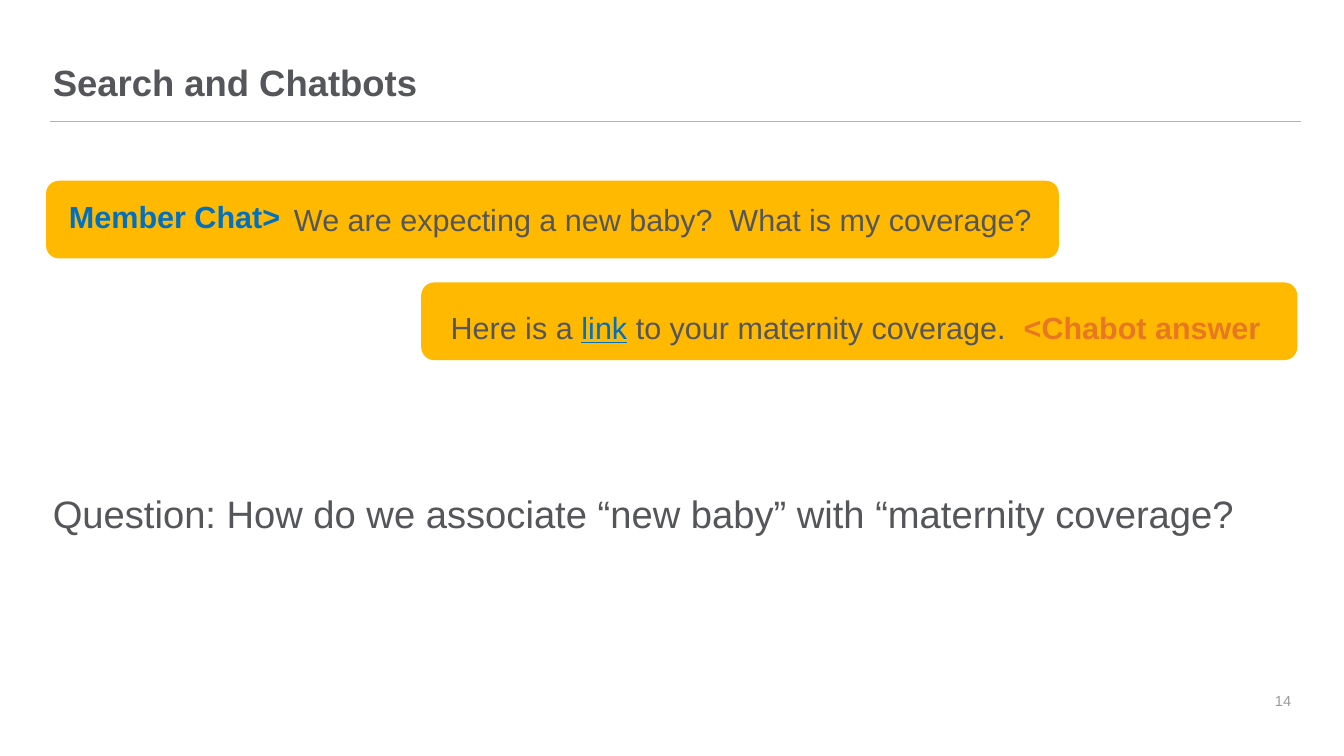
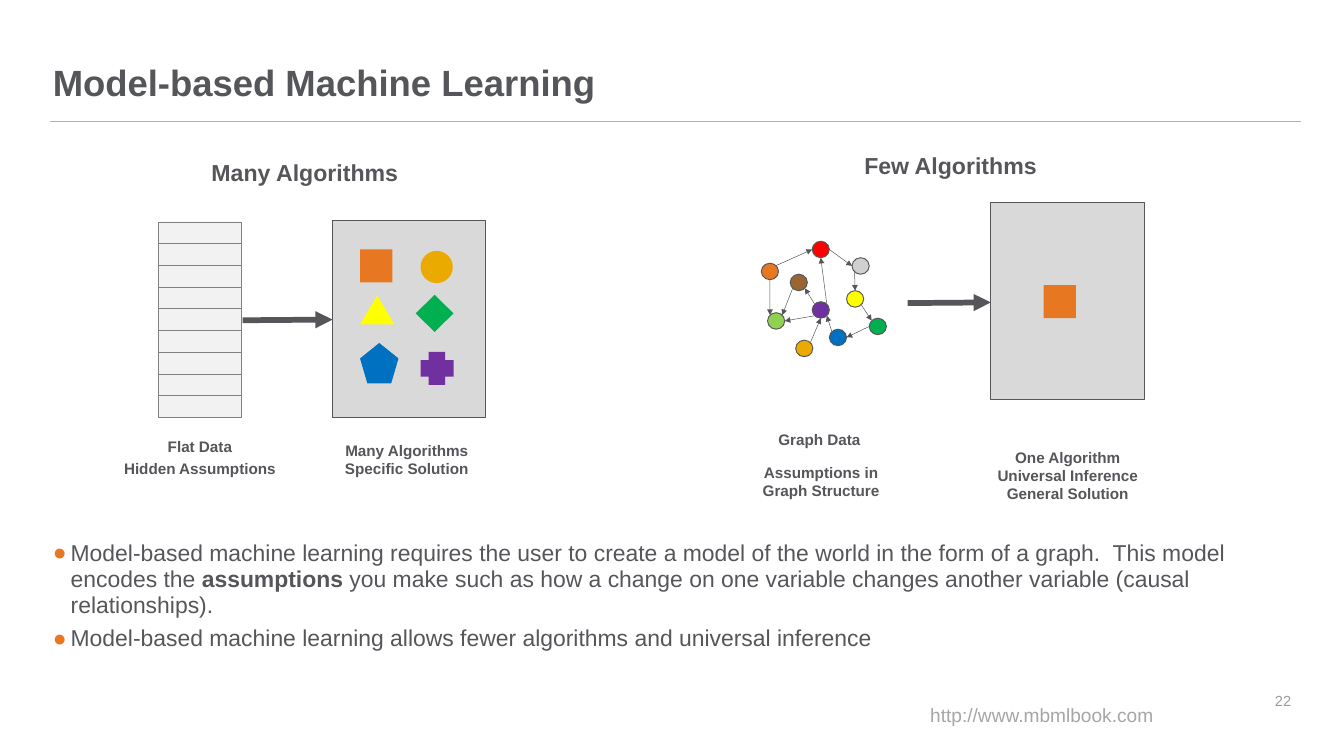
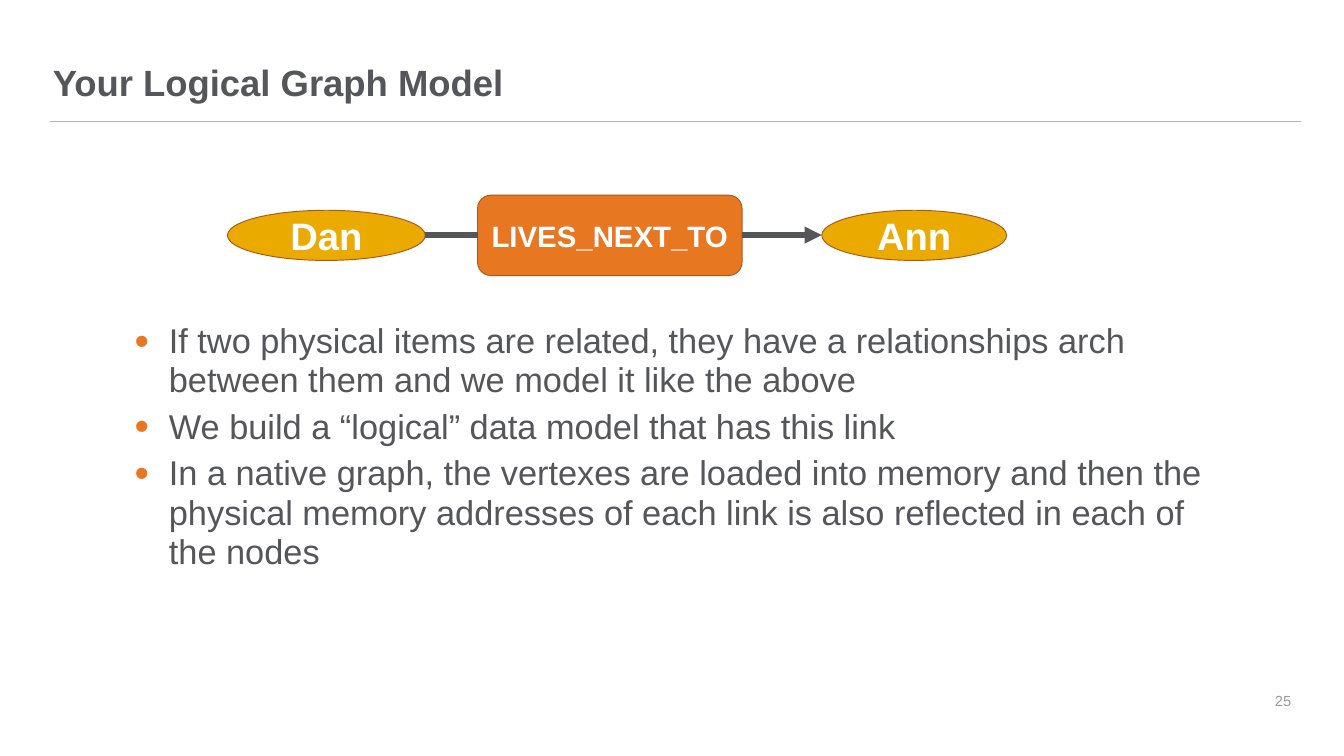
from math import cos, radians, sin

from lxml.etree import SubElement
from pptx import Presentation
from pptx.dml.color import RGBColor
from pptx.enum.shapes import MSO_CONNECTOR, MSO_SHAPE
from pptx.enum.text import MSO_ANCHOR, PP_ALIGN
from pptx.oxml.ns import qn
from pptx.util import Inches, Pt

COLUMNS, ROWS = 19.56, 11
CELL = Inches(1)
MARGIN, CONTENT_WIDTH = 0.67, 18.22
FONT = "Arial"
INK, RULE, NUMBER, PALE_TEXT = "55565A", "B1B3B3", "999A9B", "A6A6A6"
ORANGE, GOLD, AMBER, BLUE, RUST = "E87722", "EAAA00", "FFB900", "0070C0", "AC5819"
YELLOW, GREEN, PURPLE, PANEL = "FFFF00", "00B050", "7030A0", "D9D9D9"
LEFT, CENTER, RIGHT = PP_ALIGN.LEFT, PP_ALIGN.CENTER, PP_ALIGN.RIGHT
COMPASS = {"E": 0, "NE": 45, "N": 90, "NW": 135, "W": 180, "SW": 225, "S": 270, "SE": 315}


def cells(*counts):
    """Convert counts of grid cells to lengths."""
    return [int(count * CELL) for count in counts]


def color(code):
    """Turn a hex string into a colour."""
    return RGBColor.from_string(code)


def add_bullet(paragraph, symbol, indent, percent):
    """Give a paragraph an orange bullet and a hanging indent."""
    properties = paragraph._p.get_or_add_pPr()
    length = cells(indent)[0]
    properties.set("marL", str(length))
    properties.set("indent", str(-length))
    bullet_color = SubElement(properties, qn("a:buClr"))
    SubElement(bullet_color, qn("a:srgbClr"), val=ORANGE)
    SubElement(properties, qn("a:buSzPct"), val=str(percent * 1000))
    SubElement(properties, qn("a:buFont"), typeface=FONT)
    SubElement(properties, qn("a:buChar"), char=symbol)


def write(paragraph, runs, size, ink=INK, bold=False):
    """Add runs, each a string or a tuple of text and font changes."""
    for item in [runs] if isinstance(runs, str) else runs:
        text, changes = (item, {}) if isinstance(item, str) else item
        run = paragraph.add_run()
        run.text = text
        font = run.font
        font.name, font.size = FONT, Pt(size)
        font.bold = changes.get("bold", bold)
        font.underline = changes.get("underline", False)
        font.color.rgb = color(changes.get("ink", ink))


def add_text(slide, at, paragraphs, size, ink=INK, bold=False, align=LEFT, wrap=True,
             inset=0.05, anchor=MSO_ANCHOR.TOP, spacing=None, after=0, bullet=None):
    """Add a text box with one entry per paragraph."""
    frame = slide.shapes.add_textbox(*cells(*at)).text_frame
    frame.word_wrap, frame.vertical_anchor = wrap, anchor
    frame.margin_left, frame.margin_right = cells(0.1, 0.1)
    frame.margin_top, frame.margin_bottom = cells(inset, inset)
    for index, runs in enumerate(paragraphs):
        paragraph = frame.add_paragraph() if index else frame.paragraphs[0]
        paragraph.alignment = align
        if spacing:
            paragraph.line_spacing, paragraph.space_after = spacing, Pt(after)
        if bullet:
            add_bullet(paragraph, *bullet)
        write(paragraph, runs, size, ink, bold)


def add_body(slide, at, paragraphs, size, bullet=None):
    """Add body text in the shared paragraph style."""
    add_text(slide, at, paragraphs, size, inset=0.1, spacing=0.95, after=7.7, bullet=bullet)


def add_caption(slide, left, top, width, *lines):
    """Add a small bold centred caption."""
    add_text(slide, (left, top, width, 0.1 + 0.27 * len(lines)), lines, 16,
             bold=True, align=CENTER)


def add_shape(shapes, kind, at, fill, outline=None, label="", size=40):
    """Add a filled preset shape with an optional white label."""
    shape = shapes.add_shape(kind, *cells(*at))
    shape.shadow.inherit = False
    shape.fill.solid()
    shape.fill.fore_color.rgb = color(fill)
    if outline:
        shape.line.color.rgb, shape.line.width = color(outline), Pt(1)
    else:
        shape.line.fill.background()
    if label:
        frame = shape.text_frame
        frame.word_wrap, frame.vertical_anchor = False, MSO_ANCHOR.MIDDLE
        frame.paragraphs[0].alignment = CENTER
        write(frame.paragraphs[0], label, size, "FFFFFF", True)


def add_line(shapes, start, end, ink=INK, width=6, arrow=True):
    """Add a straight line, with an arrowhead at its end if asked."""
    line = shapes.add_connector(MSO_CONNECTOR.STRAIGHT, *cells(*start, *end))
    line.line.color.rgb, line.line.width = color(ink), Pt(width)
    if arrow:
        SubElement(line.line._get_or_add_ln(), qn("a:tailEnd"), type="triangle")
    SubElement(line._element.spPr, qn("a:effectLst"))


def add_slide(presentation, title, number):
    """Add a slide with the shared title, rule and slide number."""
    slide = presentation.slides.add_slide(presentation.slide_layouts[6])
    add_line(slide.shapes, (0.73, 1.77), (18.94, 1.77), RULE, 1, False)
    add_text(slide, (MARGIN, 0.84, CONTENT_WIDTH, 0.89), [title], 38.2, bold=True,
             inset=0.1, spacing=0.9)
    add_text(slide, (17.72, 9.77, 1.17, 0.84), [str(number)], 15.3, NUMBER, align=RIGHT,
             inset=0.1, anchor=MSO_ANCHOR.MIDDLE)
    return slide


def add_graph(slide):
    """Draw the grouped graph of coloured nodes and directed edges."""
    width, height = 0.25, 0.24
    nodes = {
        "red": (11.82, 3.51, "FF0000"), "brown": (11.5, 3.99, "996633"),
        "purple": (11.82, 4.39, PURPLE), "gray": (12.4, 3.75, "D0D0CE"),
        "yellow": (12.32, 4.23, YELLOW), "lime": (11.17, 4.55, "92D050"),
        "blue": (12.07, 4.79, BLUE), "orange": (11.08, 3.83, ORANGE),
        "green": (12.65, 4.63, GREEN), "gold": (11.58, 4.95, GOLD),
    }
    edges = [
        "orange NE red W", "red E gray W", "gray SW yellow N", "yellow SE green NW",
        "green W blue E", "blue NW purple SE", "purple NW brown SE", "brown SW lime NE",
        "orange S lime NW", "purple NE red S", "purple SW lime E", "gold NE purple S",
    ]

    def site(name, direction):
        """Find the point of a node's rim in a compass direction."""
        left, top, _ = nodes[name]
        angle = radians(COMPASS[direction])
        return left + width / 2 * (1 + cos(angle)), top + height / 2 * (1 - sin(angle))

    shapes = slide.shapes.add_group_shape().shapes
    for left, top, fill in nodes.values():
        add_shape(shapes, MSO_SHAPE.OVAL, (left, top, width, height), fill, INK)
    for edge in edges:
        source, leaving, target, entering = edge.split()
        add_line(shapes, site(source, leaving), site(target, entering), width=0.5)


def add_chatbot_slide(presentation):
    """Build the slide on search and chatbots."""
    slide = add_slide(presentation, "Search and Chatbots", 14)
    for bubble in [(6.13, 4.11, 12.75, 1.13), (MARGIN, 2.63, 14.74, 1.13)]:
        add_shape(slide.shapes, MSO_SHAPE.ROUNDED_RECTANGLE, bubble, AMBER)
    add_body(slide, (MARGIN, 7.08, CONTENT_WIDTH, 1.79),
             ["Question: How do we associate “new baby” with “maternity coverage?"], 40)
    add_text(slide, (4.18, 2.87, 11.03, 0.64),
             ["We are expecting a new baby?  What is my coverage?"], 32, wrap=False)
    answer = ["Here is a ", ("link", {"ink": BLUE, "underline": True}),
              " to your maternity coverage."]
    add_text(slide, (6.46, 4.44, 8.34, 0.64), [answer], 32, wrap=False)
    add_text(slide, (14.8, 4.44, 3.9, 0.64), ["<Chabot answer"], 32, ORANGE, True)
    add_text(slide, (MARGIN, 2.83, 3.51, 0.64), ["Member Chat>"], 32, BLUE, True, RIGHT)


def add_learning_slide(presentation):
    """Build the slide comparing many algorithms with few."""
    slide = add_slide(presentation, "Model-based Machine Learning", 22)
    shapes = slide.shapes
    add_line(shapes, (3.53, 4.66), (4.84, 4.65))
    add_line(shapes, (13.21, 4.41), (14.42, 4.4))
    for row in range(9):
        add_shape(shapes, MSO_SHAPE.RECTANGLE, (2.31, 3.23 + row * 0.316, 1.21, 0.32),
                  "F2F2F2", "808080")
    for left, top in [(4.84, 3.21), (14.42, 2.95)]:
        add_shape(shapes, MSO_SHAPE.RECTANGLE, (left, top, 2.23, 2.87), PANEL, INK)
    algorithms = [
        (MSO_SHAPE.RECTANGLE, (5.24, 3.63, 0.47, 0.48), ORANGE),
        (MSO_SHAPE.OVAL, (6.12, 3.65, 0.47, 0.47), GOLD),
        (MSO_SHAPE.ISOSCELES_TRIANGLE, (5.24, 4.3, 0.5, 0.42), YELLOW),
        (MSO_SHAPE.DIAMOND, (6.05, 4.29, 0.55, 0.54), GREEN),
        (MSO_SHAPE.REGULAR_PENTAGON, (5.24, 4.99, 0.56, 0.59), BLUE),
        (MSO_SHAPE.CROSS, (6.12, 5.12, 0.48, 0.48), PURPLE),
        (MSO_SHAPE.RECTANGLE, (15.19, 4.15, 0.47, 0.48), ORANGE),
    ]
    for kind, at, fill in algorithms:
        add_shape(shapes, kind, at, fill)
    add_graph(slide)
    for left, top, width, heading in [(2.98, 2.26, 2.94, "Many Algorithms"),
                                      (12.48, 2.15, 2.73, "Few Algorithms")]:
        add_text(slide, (left, top, width, 0.51), [heading], 24.2, bold=True, wrap=False)
    add_caption(slide, 1.66, 6.31, 2.5, "Flat Data")
    add_caption(slide, 1.66, 6.64, 2.5, "Hidden Assumptions")
    add_caption(slide, 4.67, 6.37, 2.5, "Many Algorithms", "Specific Solution")
    add_caption(slide, 11.22, 6.21, 1.41, "Graph Data")
    add_caption(slide, 10.7, 6.69, 2.5, "Assumptions in Graph Structure")
    add_caption(slide, 14.29, 6.47, 2.5,
                "One Algorithm", "Universal Inference", "General Solution")
    points = [
        ["Model-based machine learning requires the user to create a model of the world "
         "in the form of a graph.  This model encodes the ",
         ("assumptions", {"bold": True}),
         " you make such as how a change on one variable changes another variable "
         "(causal relationships)."],
        "Model-based machine learning allows fewer algorithms and universal inference",
    ]
    add_body(slide, (MARGIN, 7.76, CONTENT_WIDTH, 2.01), points, 24, ("●", 0.26, 100))
    add_text(slide, (13.44, 10.19, 3.47, 0.44), ["http://www.mbmlbook.com"], 20, PALE_TEXT,
             wrap=False)


def add_graph_model_slide(presentation):
    """Build the slide on the logical graph model."""
    slide = add_slide(presentation, "Your Logical Graph Model", 25)
    points = [
        "If two physical items are related, they have a relationships arch between them "
        "and we model it like the above",
        "We build a “logical” data model that has this link",
        "In a native graph, the vertexes are loaded into memory and then the physical "
        "memory addresses of each link is also reflected in each of the nodes",
    ]
    add_body(slide, (1.86, 4.59, 15.84, 3.89), points, 36, ("•", 0.5, 120))
    shapes = slide.shapes
    for left, width, person in [(3.31, 2.88, "Dan"), (11.96, 2.69, "Ann")]:
        add_shape(shapes, MSO_SHAPE.OVAL, (left, 3.06, width, 0.73), GOLD, RUST, person)
    add_shape(shapes, MSO_SHAPE.ROUNDED_RECTANGLE, (6.95, 2.84, 3.85, 1.17), ORANGE, RUST,
              "LIVES_NEXT_TO", 30.8)
    add_line(shapes, (10.8, 3.42), (11.96, 3.42))
    add_line(shapes, (6.19, 3.42), (6.95, 3.42), arrow=False)


def main():
    """Build and save the presentation."""
    presentation = Presentation()
    presentation.slide_width, presentation.slide_height = cells(COLUMNS, ROWS)
    add_chatbot_slide(presentation)
    add_learning_slide(presentation)
    add_graph_model_slide(presentation)
    presentation.save("out.pptx")


if __name__ == "__main__":
    main()
